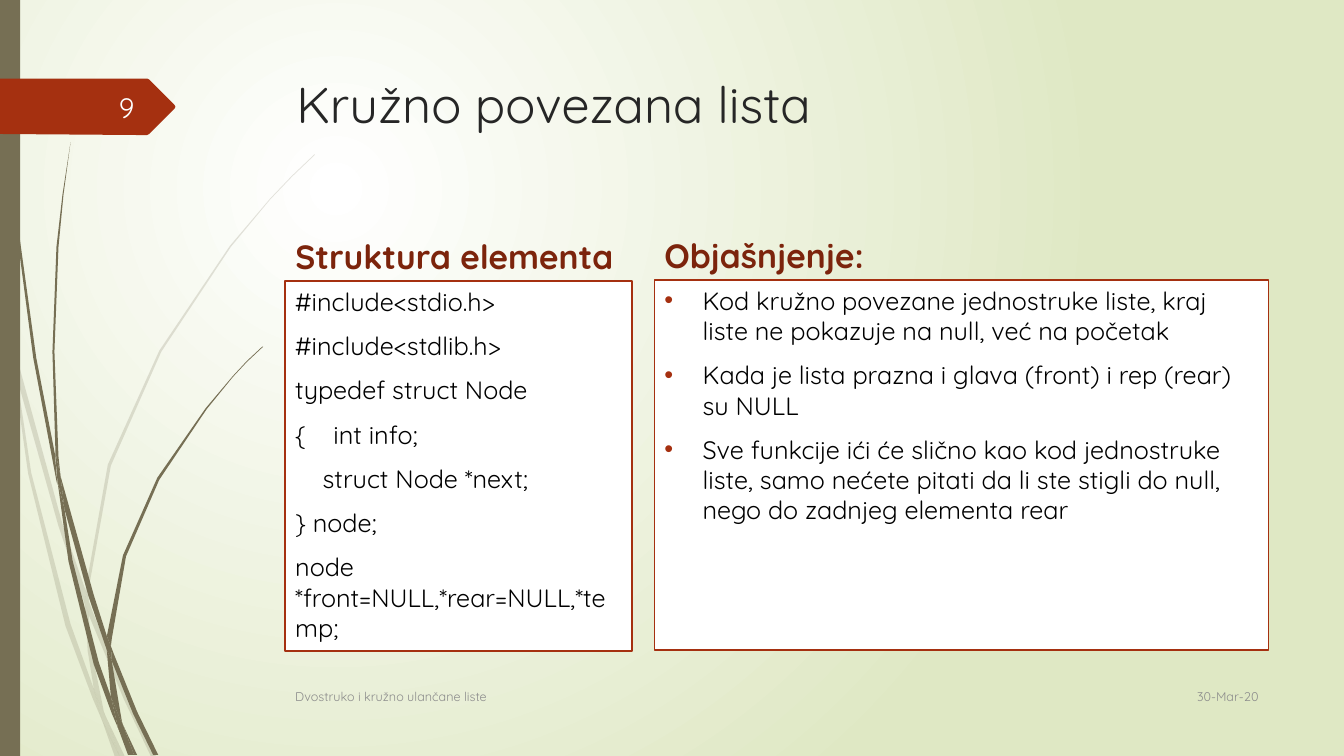
from dataclasses import dataclass

from lxml.etree import SubElement
from pptx import Presentation
from pptx.dml.color import RGBColor
from pptx.enum.shapes import MSO_SHAPE
from pptx.enum.text import MSO_ANCHOR, PP_ALIGN
from pptx.oxml.ns import qn
from pptx.util import Inches, Pt


@dataclass(frozen=True)
class Theme:
    font: str = "Quicksand"
    title_color: str = "262626"
    heading_color: str = "7C240C"
    text_color: str = "000000"
    footer_color: str = "8C8C8C"
    number_color: str = "FEFFFF"
    accent: str = "A53010"
    stem: str = "766F54"
    panel: str = "FFFFFF"
    glow: str = "FFFFFF"
    edge: str = "DFE8C4"
    title_size: int = 36
    heading_size: int = 24
    number_size: int = 20
    body_size: int = 18
    footer_size: int = 9


# Outlines as x,y points in hundredths of an inch
PALE_GRASS = [
    "11,350 9,322 0,282 0,299 10,344",
    "58,522 84,599 85,586 62,520 14,345 17,376",
    "92,607 88,596 88,610 123,694 150,751 155,751 127,692",
    "119,751 124,751 105,711",
    "93,683 70,619 31,469 17,376 11,350 28,470 65,621 92,693 101,714 99,707",
    "84,599 87,646 93,683 96,692 105,711 103,706 91,646 88,610 88,608",
    "88,584 110,462 160,349 229,245 268,198 290,175 312,154 312,153 289,175 "
    "268,197 228,244 158,348 107,461 85,584 85,586 88,596",
    "101,714 114,751 119,751",
    "88,608 88,610 88,596 85,586 84,599",
    "96,692 93,683 99,707 101,714 119,751 105,711",
]
DARK_GRASS = [
    "7,110 17,233 33,355 56,477 57,481 55,457 55,453 36,355 19,232 8,109 5,48 "
    "4,0 3,0 4,48",
    "88,592 106,645 106,633 106,631 93,590 60,472 64,505",
    "113,649 110,641 111,656 132,708 152,749 157,749 136,706",
    "110,691 98,657 72,556 64,505 57,477 68,557 93,659 111,708 117,722 116,717",
    "60,472 58,453 54,349 58,245 63,193 70,141 62,193 56,245 52,349 55,449",
    "133,749 136,749 122,719",
    "57,477 64,505 60,472 55,449 55,453",
    "111,633 125,552 158,476 205,406 231,374 245,359 261,344 260,344 245,358 "
    "231,373 204,405 156,474 122,551 106,631 110,641",
    "117,722 127,749 131,749",
    "106,645 110,691 116,706 122,719 121,716 111,656 109,651",
    "106,645 109,651 111,656 110,641 106,631 106,633",
    "116,706 110,691 116,717 117,722 130,749 133,749 122,719",
]
NUMBER_TAG = ("173,108 148,133 146,134 136,134 0,133 0,78 136,78 146,78 "
              "148,79 173,104 174,106")

CODE = [
    "#include<stdio.h>",
    "#include<stdlib.h>",
    "typedef struct Node",
    "{    int info;",
    "    struct Node *next;",
    "} node;",
    "node *front=NULL,*rear=NULL,*temp;",
]
NOTES = [
    "Kod kružno povezane jednostruke liste, kraj liste ne pokazuje na null, "
    "već na početak",
    "Kada je lista prazna i glava (front) i rep (rear) su NULL",
    "Sve funkcije ići će slično kao kod jednostruke liste, samo nećete pitati "
    "da li ste stigli do null, nego do zadnjeg elementa rear",
]


class SlideBuilder:
    def __init__(self, slide, theme):
        self.slide = slide
        self.theme = theme

    def background(self):
        fill = self.slide.background.fill
        fill.gradient()
        for stop, color in zip(fill.gradient_stops, (self.theme.glow, self.theme.edge)):
            stop.color.rgb = RGBColor.from_string(color)
        gradient = next(self.slide.element.iter(qn("a:gradFill")))
        gradient.remove(gradient.find(qn("a:lin")))
        circle = SubElement(gradient, qn("a:path"), path="circle")
        SubElement(circle, qn("a:fillToRect"),
                   l="50000", t="50000", r="100000", b="100000")

    def paint(self, shape, color, opacity=100, line=None):
        shape.shadow.inherit = False
        shape.fill.solid()
        shape.fill.fore_color.rgb = RGBColor.from_string(color)
        if opacity < 100:
            tint = shape.element.spPr.find(qn("a:solidFill"))[0]
            SubElement(tint, qn("a:alpha"), val=str(opacity * 1000))
        if line:
            shape.line.color.rgb = RGBColor.from_string(line)
            shape.line.width = Pt(1.25)
        else:
            shape.line.fill.background()

    def outline(self, points, color, opacity=100):
        start, *rest = [tuple(map(int, point.split(","))) for point in points.split()]
        builder = self.slide.shapes.build_freeform(*start, scale=Inches(0.01))
        builder.add_line_segments(rest, close=True)
        self.paint(builder.convert_to_shape(), color, opacity)

    def rectangle(self, left, top, width, height, color, line=None):
        shape = self.slide.shapes.add_shape(
            MSO_SHAPE.RECTANGLE, Inches(left), Inches(top), Inches(width), Inches(height))
        self.paint(shape, color, line=line)
        return shape

    def label(self, left, top, width, height, text, **style):
        box = self.slide.shapes.add_textbox(
            Inches(left), Inches(top), Inches(width), Inches(height))
        self.set_text(box.text_frame, [text], **style)

    def panel(self, left, top, width, height, lines, bullet=False):
        shape = self.rectangle(left, top, width, height,
                               self.theme.panel, line=self.theme.accent)
        self.set_text(shape.text_frame, lines, size=self.theme.body_size,
                      color=self.theme.text_color, bullet=bullet)

    def set_text(self, frame, lines, *, size, color, bold=False, align=PP_ALIGN.LEFT,
                 anchor=MSO_ANCHOR.TOP, bullet=False):
        frame.word_wrap = True
        frame.vertical_anchor = anchor
        for index, line in enumerate(lines):
            paragraph = frame.add_paragraph() if index else frame.paragraphs[0]
            if bullet:
                self.add_bullet(paragraph)
            paragraph.alignment = align
            if index:
                paragraph.space_before = Pt(10)
            run = paragraph.add_run()
            run.text = line
            run.font.name = self.theme.font
            run.font.size = Pt(size)
            run.font.bold = bold
            run.font.color.rgb = RGBColor.from_string(color)

    def add_bullet(self, paragraph):
        properties = paragraph._p.get_or_add_pPr()
        properties.set("marL", str(Inches(0.38)))
        properties.set("indent", str(Inches(-0.38)))
        bullet_color = SubElement(properties, qn("a:buClr"))
        SubElement(bullet_color, qn("a:srgbClr"), val=self.theme.accent)
        SubElement(properties, qn("a:buFont"), typeface="Arial")
        SubElement(properties, qn("a:buChar"), char="•")


def main():
    presentation = Presentation()
    presentation.slide_width = Inches(13.33)
    presentation.slide_height = Inches(7.5)
    theme = Theme()
    page = SlideBuilder(presentation.slides.add_slide(presentation.slide_layouts[6]), theme)

    # Background, grass and side bar
    page.background()
    for blades, opacity in ((PALE_GRASS, 20), (DARK_GRASS, 100)):
        for blade in blades:
            page.outline(blade, theme.stem, opacity)
    page.rectangle(0, 0, 0.2, 7.5, theme.stem)
    page.outline(NUMBER_TAG, theme.accent)

    # Title
    page.label(2.84, 0.68, 9.75, 1.4, "Kružno povezana lista",
               size=theme.title_size, color=theme.title_color)

    # Two columns: heading above a framed panel
    columns = [
        (2.83, 2.79, 3.44, "Struktura elementa", CODE, False),
        (6.49, 2.78, 6.09, "Objašnjenje:", NOTES, True),
    ]
    for left, top, width, heading, lines, bullet in columns:
        page.label(left, top - 0.63, 4.75, 0.63, heading, size=theme.heading_size,
                   color=theme.heading_color, bold=True, anchor=MSO_ANCHOR.BOTTOM)
        page.panel(left, top, width, 3.67, lines, bullet)

    # Footer and slide number
    footer = dict(size=theme.footer_size, color=theme.footer_color, anchor=MSO_ANCHOR.MIDDLE)
    page.label(11.33, 6.7, 1.25, 0.41, "30-Mar-20", align=PP_ALIGN.RIGHT, **footer)
    page.label(2.83, 6.71, 8.33, 0.4, "Dvostruko i kružno ulančane liste", **footer)
    page.label(0.58, 0.86, 0.85, 0.4, "9", size=theme.number_size,
               color=theme.number_color, align=PP_ALIGN.RIGHT, anchor=MSO_ANCHOR.MIDDLE)

    presentation.save("out.pptx")


if __name__ == "__main__":
    main()
